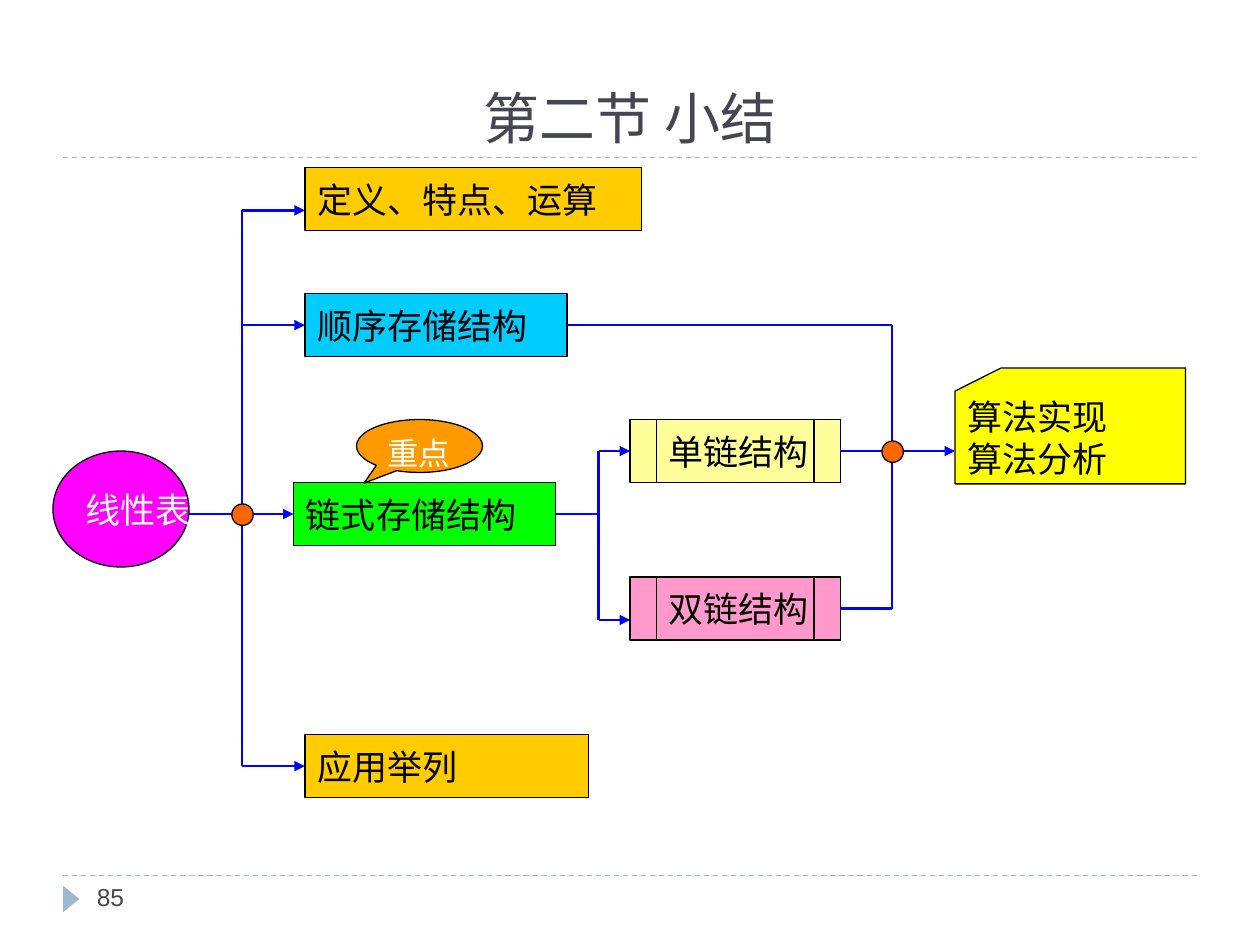
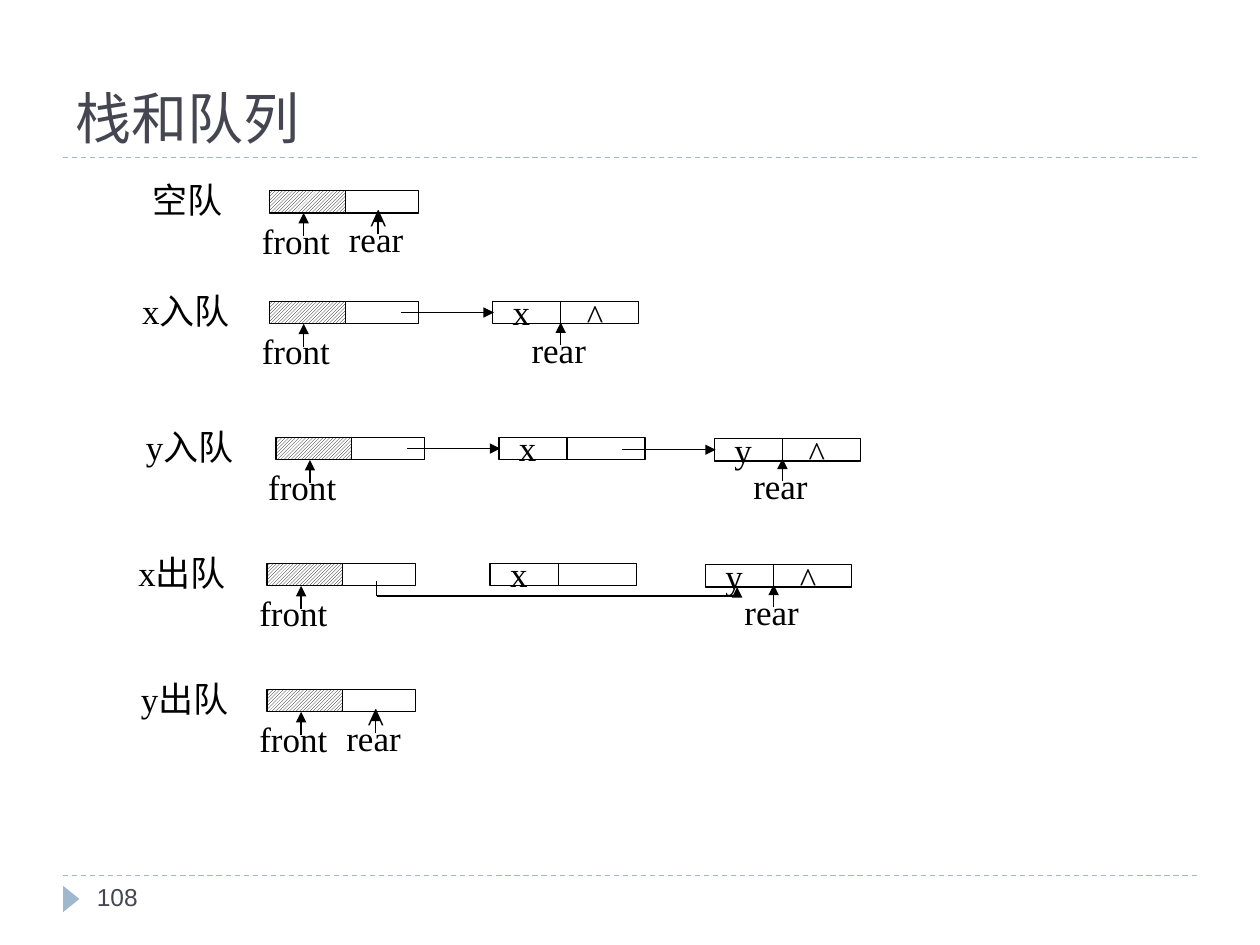
from lxml.etree import SubElement
from pptx import Presentation
from pptx.dml.color import RGBColor
from pptx.enum.dml import MSO_LINE, MSO_PATTERN
from pptx.enum.shapes import MSO_CONNECTOR, MSO_SHAPE
from pptx.enum.text import MSO_ANCHOR, PP_ALIGN
from pptx.oxml.ns import qn
from pptx.util import Inches, Pt

BLACK = RGBColor(0x00, 0x00, 0x00)
WHITE = RGBColor(0xFF, 0xFF, 0xFF)
SLATE = RGBColor(0x46, 0x46, 0x53)
MIST = RGBColor(0x9F, 0xB8, 0xCD)
WIRE = RGBColor(0x00, 0x00, 0xFF)
GOLD = RGBColor(0xFF, 0xCC, 0x00)
SKY = RGBColor(0x00, 0xCC, 0xFF)
GREEN = RGBColor(0x00, 0xFF, 0x00)
MAGENTA = RGBColor(0xFF, 0x00, 0xFF)
YELLOW = RGBColor(0xFF, 0xFF, 0x00)
CREAM = RGBColor(0xFF, 0xFF, 0x99)
PINK = RGBColor(0xFF, 0x99, 0xCC)
AMBER = RGBColor(0xFF, 0x99, 0x00)
ORANGE = RGBColor(0xFF, 0x66, 0x00)

SERIF = "Times New Roman"
SANS = "Arial"
CHINESE = "Noto Sans CJK SC"

TOP, LEFT, BOTTOM, RIGHT = range(4)
FIELD_HEIGHT = 0.18


def write(box, text, size=20, color=BLACK, font=SERIF, anchor=MSO_ANCHOR.MIDDLE,
          align=PP_ALIGN.LEFT, wrap=False):
    """Fill a box with text, one paragraph for each line."""
    frame = box.text_frame
    frame.text = text
    frame.word_wrap = wrap
    frame.vertical_anchor = anchor
    for para in frame.paragraphs:
        para.alignment = align
        for span in para.runs:
            span.font.size = Pt(size)
            span.font.name = font
            span.font.color.rgb = color
            SubElement(span.font._element, qn("a:ea"), typeface=CHINESE)


def add_text(page, text, left, top, width, height=0.43, **style):
    box = page.shapes.add_textbox(Inches(left), Inches(top), Inches(width), Inches(height))
    write(box, text, **style)


def add_box(page, kind, left, top, width, height, fill=None, text="", outlined=True, **style):
    box = page.shapes.add_shape(kind, Inches(left), Inches(top), Inches(width), Inches(height))
    box.shadow.inherit = False
    if fill is None:
        box.fill.background()
    else:
        box.fill.solid()
        box.fill.fore_color.rgb = fill
    if outlined:
        box.line.color.rgb = BLACK
        box.line.width = Pt(0.75)
    else:
        box.line.fill.background()
    if text:
        write(box, text, **style)
    return box


def add_line(page, start, end, color=BLACK, width=0.75, arrow=False, begin=None, finish=None):
    """Draw a line; begin and finish are (box, side) pairs it is joined to."""
    line = page.shapes.add_connector(
        MSO_CONNECTOR.STRAIGHT, *(Inches(value) for value in (*start, *end)))
    line.line.color.rgb = color
    line.line.width = Pt(width)
    SubElement(line.element.spPr, qn("a:effectLst"))
    if arrow:
        SubElement(line.line._get_or_add_ln(), qn("a:tailEnd"), type="triangle")
    if begin:
        line.begin_connect(*begin)
    if finish:
        line.end_connect(*finish)
    return line


def decorate_layout(layout, page):
    """Draw the rules and the footer mark, and hand them over to the layout."""
    marks = []
    for y in (6.95, 1.25):
        rule = add_line(page, (0.5, y), (9.5, y), MIST)
        rule.line.dash_style = MSO_LINE.DASH
        marks.append(rule)
    triangle = add_box(page, MSO_SHAPE.ISOSCELES_TRIANGLE, 0.46, 7.07, 0.21, 0.13, MIST,
                       outlined=False)
    triangle.rotation = 90
    marks.append(triangle)
    for mark in marks:
        layout.shapes.element.append(mark.element)


def add_page(deck, layout, title, number, **title_style):
    page = deck.slides.add_slide(layout)
    heading = page.shapes.title
    heading.left, heading.top = Inches(0.5), Inches(0.17)
    heading.width, heading.height = Inches(9), Inches(1.08)
    write(heading, title, size=32, color=SLATE, anchor=MSO_ANCHOR.BOTTOM, wrap=True,
          **title_style)
    add_text(page, number, 0.67, 6.95, 2.17, 0.4, size=14, color=SLATE, font=SANS,
             anchor=MSO_ANCHOR.TOP, wrap=True)
    return page


def draw_summary_tree(page, left, top):
    def block(kind, x, y, width, height, fill, text="", **style):
        return add_box(page, kind, left + x, top + y, width, height, fill, text, **style)

    def wire(x1, y1, x2, y2, **ends):
        add_line(page, (left + x1, top + y1), (left + x2, top + y2), WIRE, 1.5, **ends)

    trunk, fork, merge = 1.5, 4.33, 6.66
    block(MSO_SHAPE.OVAL, 0, 2.25, 1.08, 0.92, MAGENTA, "线性表", color=WHITE)
    block(MSO_SHAPE.RECTANGLE, 2, 0, 2.67, 0.5, GOLD, "定义、特点、运算")
    sequential = block(MSO_SHAPE.RECTANGLE, 2, 1, 2.08, 0.5, SKY, "顺序存储结构")
    linked = block(MSO_SHAPE.RECTANGLE, 1.91, 2.5, 2.08, 0.5, GREEN, "链式存储结构")
    examples = block(MSO_SHAPE.RECTANGLE, 2, 4.5, 2.25, 0.5, GOLD, "应用举列")
    single = block(MSO_SHAPE.FLOWCHART_PREDEFINED_PROCESS, 4.58, 2, 1.67, 0.5, CREAM, "单链结构")
    double = block(MSO_SHAPE.FLOWCHART_PREDEFINED_PROCESS, 4.58, 3.25, 1.67, 0.5, PINK, "双链结构")
    block(MSO_SHAPE.FLOWCHART_CARD, 7.16, 1.59, 1.83, 0.92, YELLOW, "算法实现\n算法分析")
    callout = block(MSO_SHAPE.OVAL_CALLOUT, 2.41, 2, 1, 0.42, AMBER, "重点", size=18,
                    color=WHITE, anchor=MSO_ANCHOR.TOP, wrap=True)
    callout.adjustments[0], callout.adjustments[1] = -0.44, 0.7

    wire(1.08, 2.75, trunk, 2.75)
    for y in (0.34, 4.75):
        wire(trunk, 2.75, trunk, y)
    wire(trunk, 0.34, 2, 0.34, arrow=True)
    for y, target in ((1.25, sequential), (2.75, linked), (4.75, examples)):
        wire(trunk, y, 2, y, arrow=True, finish=(target, LEFT))

    wire(4, 2.75, fork, 2.75, begin=(linked, RIGHT))
    wire(fork, 2.25, fork, 3.59)
    wire(fork, 2.25, 4.58, 2.25, arrow=True, finish=(single, LEFT))
    wire(fork, 3.59, 4.58, 3.59, arrow=True)

    for y, source in ((1.25, sequential), (2.25, single), (3.5, double)):
        wire(merge - 0.4, y, merge, y, begin=(source, RIGHT))
    for y in (1.25, 3.5):
        wire(merge, y, merge, 2.25)
    wire(merge, 2.25, 7.16, 2.25, arrow=True)

    for x, y in ((trunk, 2.75), (merge, 2.25)):
        block(MSO_SHAPE.OVAL, x - 0.08, y - 0.08, 0.17, 0.17, ORANGE)


def draw_pointer(page, name, tip, top, width, shift):
    """Draw a named arrow that points up at tip."""
    add_text(page, name, tip - shift, top, width)
    add_line(page, (tip, top + 0.18), (tip, top), arrow=True)


def draw_node(page, value, left, top, last):
    add_box(page, MSO_SHAPE.RECTANGLE, left, top, 1.16, FIELD_HEIGHT)
    add_line(page, (left + 0.54, top), (left + 0.54, top + FIELD_HEIGHT))
    add_text(page, value, left + 0.06, top - 0.13, 0.34)
    if last:
        add_text(page, "^", left + 0.65, top - 0.1, 0.36)


def draw_queue(page, left, top, label, label_shift, values="", bypass=False):
    """Draw one queue state: head node, value nodes, links and pointers."""
    add_text(page, label, left - label_shift, top - 0.14, 0.9, wrap=True)
    add_box(page, MSO_SHAPE.RECTANGLE, left + 0.58, top, 0.6, FIELD_HEIGHT)
    head = add_box(page, MSO_SHAPE.RECTANGLE, left, top, 0.6, FIELD_HEIGHT, WHITE)
    head.fill.patterned()
    head.fill.pattern = MSO_PATTERN.LIGHT_UPWARD_DIAGONAL
    head.fill.fore_color.rgb = BLACK
    head.fill.back_color.rgb = WHITE
    draw_pointer(page, "front", left + 0.27, top + FIELD_HEIGHT, 0.8, 0.43)

    rear = left + 0.86
    for index, value in enumerate(values):
        node = left + 1.77 + 1.71 * index
        node_top = top + 0.01 * index
        draw_node(page, value, node, node_top, last=index == len(values) - 1)
        if not bypass:
            middle = node_top + FIELD_HEIGHT / 2
            add_line(page, (node - 0.73, middle), (node + 0.01, middle), arrow=True)
        rear = node + 0.54
    if not values:
        add_text(page, "^", left + 0.7, top + 0.02, 0.36)
    draw_pointer(page, "rear", rear, top + 0.17, 0.71, 0.33)

    if bypass:
        start, end, low = left + 0.87, left + 3.73, top + 0.26
        add_line(page, (start, top + 0.14), (start, low))
        add_line(page, (start, low), (end, low))
        add_line(page, (end, low), (end, top + 0.19), arrow=True)


def main():
    deck = Presentation()
    deck.slide_width, deck.slide_height = Inches(10), Inches(7.5)
    layout = deck.slide_layouts[5]

    summary = add_page(deck, layout, "第二节 小结", "85", font=CHINESE, align=PP_ALIGN.CENTER)
    decorate_layout(layout, summary)
    draw_summary_tree(summary, 0.42, 1.33)

    queues = add_page(deck, layout, "栈和队列", "108", font=SANS)
    draw_queue(queues, 2.14, 1.51, "空队", 1.03)
    draw_queue(queues, 2.14, 2.39, "x入队", 1.11, "x")
    draw_queue(queues, 2.19, 3.47, "y入队", 1.13, "xy")
    draw_queue(queues, 2.12, 4.47, "x出队", 1.12, "xy", bypass=True)
    draw_queue(queues, 2.12, 5.47, "y出队", 1.1)

    deck.save("out.pptx")


if __name__ == "__main__":
    main()
